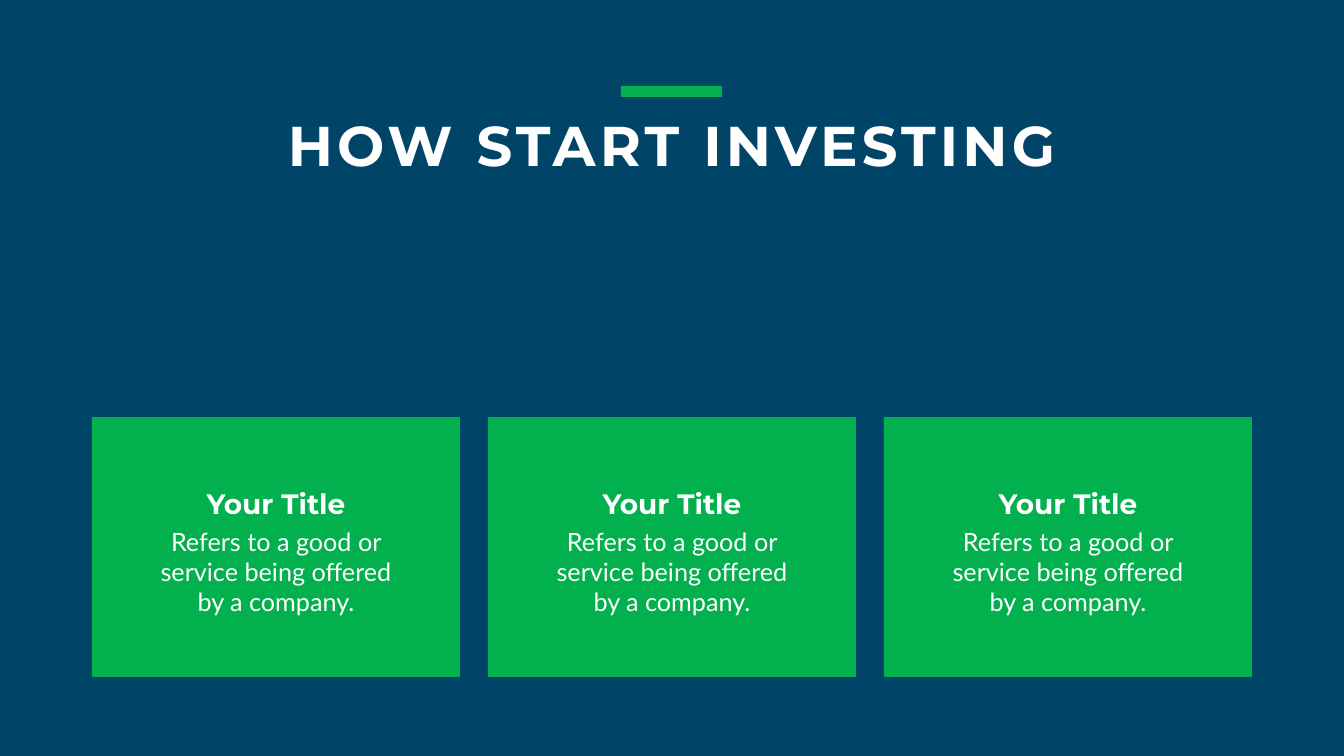
"""Build the investing slide: a heading with an accent bar above three cards."""
from pptx import Presentation
from pptx.dml.color import RGBColor
from pptx.enum.shapes import MSO_SHAPE
from pptx.enum.text import MSO_AUTO_SIZE, PP_ALIGN
from pptx.util import Pt

RECTANGLE = MSO_SHAPE.RECTANGLE
CENTER = PP_ALIGN.CENTER
GROW = MSO_AUTO_SIZE.SHAPE_TO_FIT_TEXT

NAVY = RGBColor(0x00, 0x44, 0x67)
GREEN = RGBColor(0x03, 0xB0, 0x4E)
WHITE = RGBColor(0xFF, 0xFF, 0xFF)

HEADING = "HOW START INVESTING"
CARDS = [
    ("Your Title", "Refers to a good or service being offered by a company."),
    ("Your Title", "Refers to a good or service being offered by a company."),
    ("Your Title", "Refers to a good or service being offered by a company."),
]

HEADING_FONT = {"name": "Montserrat", "size": Pt(80), "bold": True}
TITLE_FONT = {"name": "Montserrat", "size": Pt(40), "bold": True}
BODY_FONT = {"name": "Lato", "size": Pt(36)}

EMU_PER_PX = 18143
SLIDE_W, SLIDE_H = 1344, 756
BAR_BOX = (621, 86, 101, 11)
HEADING_BOX = (218, 108, 908, 73)
CARD_TOP, CARD_W, CARD_H, CARD_GAP = 417, 368, 260, 28
TEXT_W = 286
TITLE_TOP, TITLE_H = 484, 36
BODY_TOP, BODY_H = 520, 95
BODY_MARGINS = {"margin_left": 12, "margin_right": 12,
                "margin_top": 6, "margin_bottom": 6}
HEADING_SPACING = "600"


def px(*lengths):
    return [length * EMU_PER_PX for length in lengths]


def add_block(slide, box, color):
    block = slide.shapes.add_shape(RECTANGLE, *px(*box))
    block.shadow.inherit = False
    block.fill.solid()
    block.fill.fore_color.rgb = color
    block.line.fill.background()


def add_text(slide, box, text, font_format, margins=None):
    frame = slide.shapes.add_textbox(*px(*box)).text_frame
    frame.word_wrap = True
    frame.auto_size = GROW
    for side, margin in (margins or {}).items():
        setattr(frame, side, margin * EMU_PER_PX)
    paragraph = frame.paragraphs[0]
    paragraph.alignment = CENTER
    run = paragraph.add_run()
    run.text = text
    for attribute, value in font_format.items():
        setattr(run.font, attribute, value)
    run.font.color.rgb = WHITE
    return run


def main():
    deck = Presentation()
    deck.slide_width, deck.slide_height = px(SLIDE_W, SLIDE_H)
    slide = deck.slides.add_slide(deck.slide_layouts[6])

    add_block(slide, (0, 0, SLIDE_W, SLIDE_H), NAVY)

    row_width = len(CARDS) * (CARD_W + CARD_GAP) - CARD_GAP
    row_left = (SLIDE_W - row_width) // 2
    for index, (title, body) in enumerate(CARDS):
        left = row_left + index * (CARD_W + CARD_GAP)
        text_left = left + (CARD_W - TEXT_W) // 2
        add_block(slide, (left, CARD_TOP, CARD_W, CARD_H), GREEN)
        add_text(slide, (text_left, BODY_TOP, TEXT_W, BODY_H), body,
                 BODY_FONT, BODY_MARGINS)
        add_text(slide, (text_left, TITLE_TOP, TEXT_W, TITLE_H), title,
                 TITLE_FONT)

    heading = add_text(slide, HEADING_BOX, HEADING, HEADING_FONT)
    heading.font._element.set("spc", HEADING_SPACING)
    add_block(slide, BAR_BOX, GREEN)

    deck.save("out.pptx")


if __name__ == "__main__":
    main()
